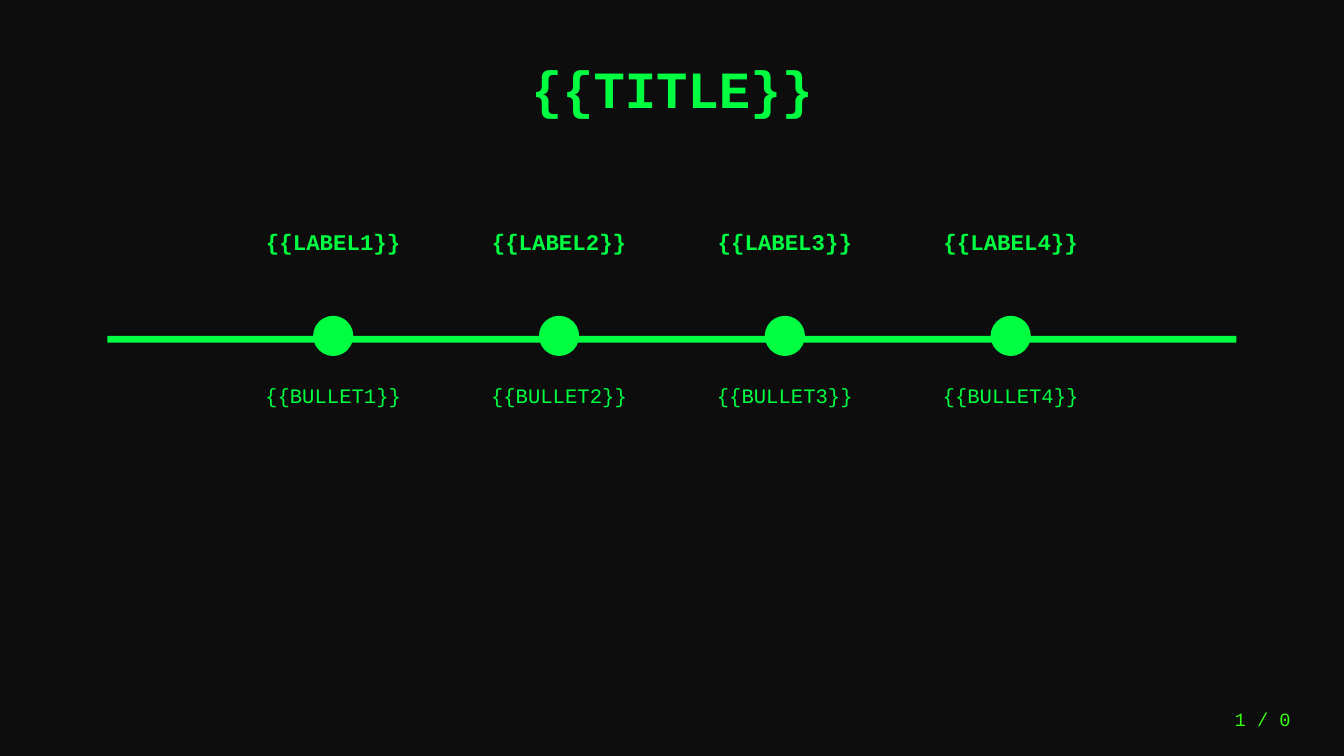
from dataclasses import dataclass

from pptx import Presentation
from pptx.dml.color import RGBColor
from pptx.enum.shapes import MSO_SHAPE
from pptx.enum.text import MSO_ANCHOR, MSO_AUTO_SIZE, PP_ALIGN
from pptx.util import Cm, Pt

CENTER, RIGHT = PP_ALIGN.CENTER, PP_ALIGN.RIGHT
TOP, MIDDLE = MSO_ANCHOR.TOP, MSO_ANCHOR.MIDDLE
RECTANGLE, OVAL = MSO_SHAPE.RECTANGLE, MSO_SHAPE.OVAL
NO_AUTOFIT = MSO_AUTO_SIZE.NONE

FONT = "Courier New"
COLORS = {"background": "0D0D0D", "green": "00FF41", "page": "39FF14"}


@dataclass
class Area:
    """A rectangle in centimetres."""
    left: float
    top: float
    width: float
    height: float

    def lengths(self) -> tuple:
        return Cm(self.left), Cm(self.top), Cm(self.width), Cm(self.height)


@dataclass
class Style:
    size: int
    bold: bool = False
    align: PP_ALIGN = CENTER
    anchor: MSO_ANCHOR = MIDDLE
    color: str = "green"


@dataclass
class Milestone:
    label: str
    bullet: str


TITLE = Style(28, bold=True)
LABEL = Style(12, bold=True)
BULLET = Style(11, anchor=TOP)
PAGE = Style(10, align=RIGHT, color="page")

BAR = Area(2.03, 6.35, 21.34, 0.13)
DOT_SIZE = 0.76
TEXT_WIDTH = 5.08
MILESTONES = [Milestone(f"{{{{LABEL{n}}}}}", f"{{{{BULLET{n}}}}}") for n in range(1, 5)]


def write(box, text: str, style: Style) -> None:
    frame = box.text_frame
    frame.word_wrap = True
    frame.auto_size = NO_AUTOFIT
    frame.vertical_anchor = style.anchor
    para = frame.paragraphs[0]
    para.alignment = style.align
    span = para.add_run()
    span.text = text
    span.font.name = FONT
    span.font.size = Pt(style.size)
    span.font.bold = style.bold
    span.font.color.rgb = RGBColor.from_string(COLORS[style.color])


def add_text(page, area: Area, text: str, style: Style) -> None:
    write(page.shapes.add_textbox(*area.lengths()), text, style)


def add_solid(page, kind: MSO_SHAPE, area: Area) -> None:
    shape = page.shapes.add_shape(kind, *area.lengths())
    shape.shadow.inherit = False
    shape.fill.solid()
    shape.fill.fore_color.rgb = RGBColor.from_string(COLORS["green"])
    shape.line.fill.background()


def add_milestone(page, center: float, milestone: Milestone) -> None:
    dot = Area(center - DOT_SIZE / 2, BAR.top - DOT_SIZE / 2, DOT_SIZE, DOT_SIZE)
    add_solid(page, OVAL, dot)
    left = center - TEXT_WIDTH / 2
    add_text(page, Area(left, 3.81, TEXT_WIDTH, 1.52), milestone.label, LABEL)
    add_text(page, Area(left, 7.11, TEXT_WIDTH, 3.81), milestone.bullet, BULLET)


def main() -> None:
    deck = Presentation()
    deck.slide_width, deck.slide_height = Cm(25.4), Cm(14.29)
    title_only = deck.slide_layouts[5]
    page = deck.slides.add_slide(title_only)
    page.background.fill.solid()
    page.background.fill.fore_color.rgb = RGBColor.from_string(COLORS["background"])

    # Title
    title = page.shapes.title
    title.left, title.top, title.width, title.height = Area(1.27, 0.76, 22.86, 1.78).lengths()
    write(title, "{{TITLE}}", TITLE)

    # Timeline: milestones divide the bar into equal parts
    add_solid(page, RECTANGLE, BAR)
    step = BAR.width / (len(MILESTONES) + 1)
    for number, milestone in enumerate(MILESTONES, start=1):
        add_milestone(page, BAR.left + number * step, milestone)

    # Page number
    add_text(page, Area(21.59, 13.21, 3.05, 0.76), "1 / 0", PAGE)

    deck.save("out.pptx")


if __name__ == "__main__":
    main()
